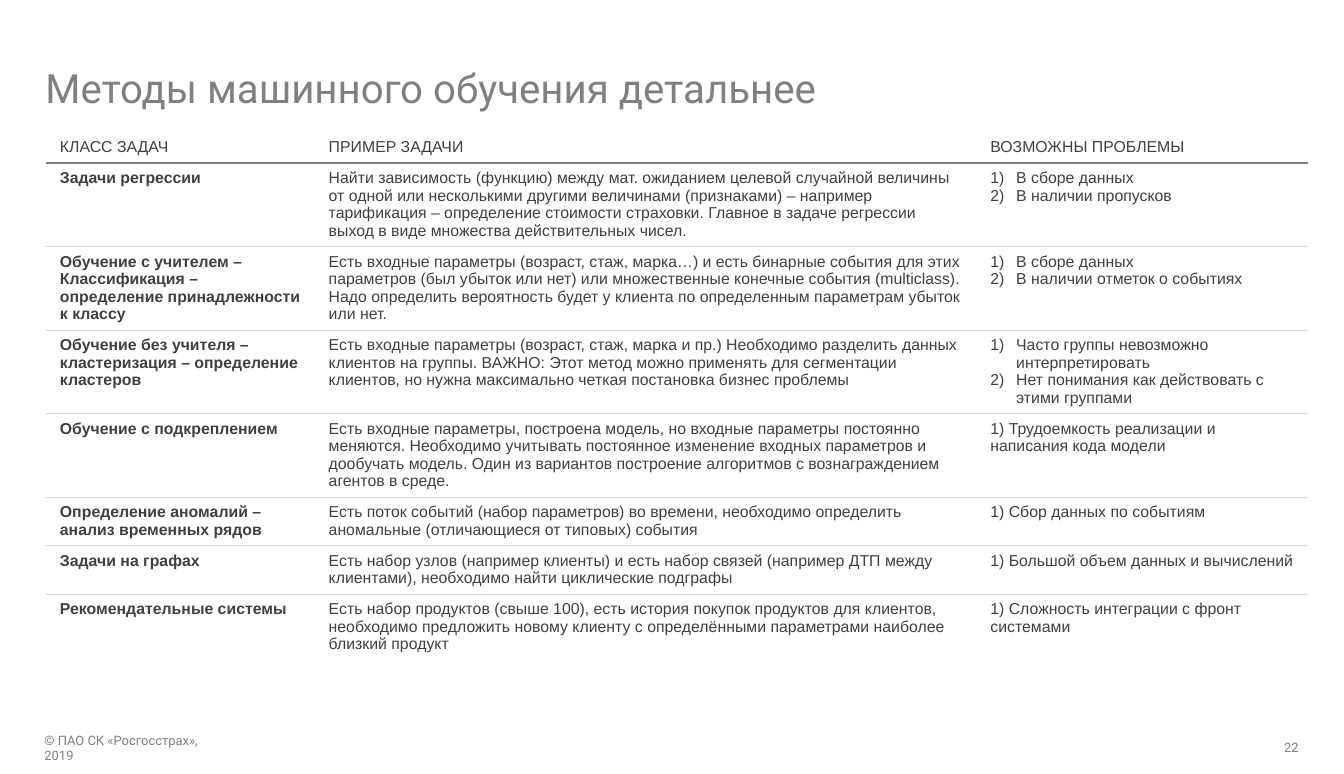
from lxml.etree import SubElement
from pptx import Presentation
from pptx.dml.color import RGBColor
from pptx.enum.text import MSO_ANCHOR, MSO_AUTO_SIZE, PP_ALIGN
from pptx.oxml.ns import qn
from pptx.util import Inches, Pt

COLOURS = {
    "title": "808080", "footer": "7F7F7F", "text": "404040",
    "header line": "7F7F7F", "row line": "D9D9D9", "paper": "FFFFFF",
}
GRID_COLUMNS, GRID_ROWS = 130, 75

HEADINGS = ["КЛАСС ЗАДАЧ", "ПРИМЕР ЗАДАЧИ", "ВОЗМОЖНЫ ПРОБЛЕМЫ"]
# Each method: text lines in its row, class, example, problems (a list is numbered)
METHODS = [
    (4, "Задачи регрессии",
     "Найти зависимость (функцию) между мат. ожиданием целевой случайной величины от одной или "
     "несколькими другими величинами (признаками) – например тарификация – определение стоимости "
     "страховки. Главное в задаче регрессии выход в виде множества действительных чисел.",
     ["В сборе данных", "В наличии пропусков"]),
    (4, "Обучение с учителем – Классификация – определение принадлежности к классу",
     "Есть входные параметры (возраст, стаж, марка…) и есть бинарные события для этих параметров "
     "(был убыток или нет) или множественные конечные события (multiclass). Надо определить "
     "вероятность будет у клиента по определенным параметрам убыток или нет.",
     ["В сборе данных", "В наличии отметок о событиях"]),
    (4, "Обучение без учителя – кластеризация – определение кластеров",
     "Есть входные параметры (возраст, стаж, марка и пр.) Необходимо разделить данных клиентов на "
     "группы. ВАЖНО: Этот метод можно применять для сегментации клиентов, но нужна максимально "
     "четкая постановка бизнес проблемы",
     ["Часто группы невозможно интерпретировать",
      "Нет понимания как действовать с этими группами"]),
    (4, "Обучение с подкреплением",
     "Есть входные параметры, построена модель, но входные параметры постоянно меняются. "
     "Необходимо учитывать постоянное изменение входных параметров и дообучать модель. Один из "
     "вариантов построение алгоритмов с вознаграждением агентов в среде.",
     "1) Трудоемкость реализации и написания кода модели"),
    (2, "Определение аномалий – анализ временных рядов",
     "Есть поток событий (набор параметров) во времени, необходимо определить аномальные "
     "(отличающиеся от типовых) события",
     "1) Сбор данных по событиям"),
    (2, "Задачи на графах",
     "Есть набор узлов (например клиенты) и есть набор связей (например ДТП между клиентами), "
     "необходимо найти циклические подграфы",
     "1) Большой объем данных и вычислений"),
    (3, "Рекомендательные системы",
     "Есть набор продуктов (свыше 100), есть история покупок продуктов для клиентов, необходимо "
     "предложить новому клиенту с определёнными параметрами наиболее близкий продукт",
     "1) Сложность интеграции с фронт системами"),
]


class MethodsPage:
    def __init__(self, deck):
        self.column = deck.slide_width / GRID_COLUMNS
        self.row = deck.slide_height / GRID_ROWS
        self.page = deck.slides.add_slide(deck.slide_layouts[5])

    def across(self, columns):
        return round(columns * self.column)

    def down(self, rows):
        return round(rows * self.row)

    def area(self, left, top, width, height):
        return self.across(left), self.down(top), self.across(width), self.down(height)

    def style(self, para, size, colour, font, bold=False):
        for span in para.runs:
            span.font.size, span.font.name, span.font.bold = Pt(size), font, bold
            span.font.color.rgb = RGBColor.from_string(COLOURS[colour])

    def title(self, text, *place):
        box = self.page.shapes.title
        box.left, box.top, box.width, box.height = self.area(*place)
        frame = box.text_frame
        frame.text = text
        frame.auto_size = MSO_AUTO_SIZE.NONE
        frame.vertical_anchor = MSO_ANCHOR.MIDDLE
        para = frame.paragraphs[0]
        para.alignment, para.line_spacing = PP_ALIGN.LEFT, 0.9
        self.style(para, 28, "title", "Roboto")

    def footer(self, text, align, *place):
        frame = self.page.shapes.add_textbox(*self.area(*place)).text_frame
        frame.word_wrap = True
        frame.margin_left = 0
        frame.vertical_anchor = MSO_ANCHOR.MIDDLE
        frame.text = text
        frame.paragraphs[0].alignment = align
        self.style(frame.paragraphs[0], 9, "footer", "Roboto")

    def borders(self, cell, top, bottom):
        properties = cell._tc.get_or_add_tcPr()
        sides = {"a:lnL": "paper", "a:lnR": "paper", "a:lnT": top, "a:lnB": bottom}
        for side, colour in sides.items():
            line = SubElement(properties, qn(side), w=str(Pt(1)))
            fill = SubElement(line, qn("a:solidFill"))
            SubElement(fill, qn("a:srgbClr"), val=COLOURS[colour])

    def number(self, para):
        properties = para._p.get_or_add_pPr()
        properties.set("marL", str(Inches(0.25)))
        properties.set("indent", str(-Inches(0.25)))
        SubElement(properties, qn("a:buFont"), typeface="Arial")
        SubElement(properties, qn("a:buAutoNum"), type="arabicParenR")

    def cell(self, cell, content, bold, top, bottom):
        self.borders(cell, top, bottom)
        cell.fill.solid()
        cell.fill.fore_color.rgb = RGBColor.from_string(COLOURS["paper"])
        cell.margin_left = cell.margin_right = Inches(0.13)
        cell.margin_top = cell.margin_bottom = Inches(0.06)
        numbered = isinstance(content, list)
        cell.text_frame.text = "\n".join(content) if numbered else content
        for para in cell.text_frame.paragraphs:
            if numbered:
                self.number(para)
            self.style(para, 11, "text", "Arial", bold)

    def table(self, headings, methods, left, top, widths):
        records = [(1, *headings), *methods]
        heights = [1.3 + 1.7 * lines for lines, *_ in records]
        place = self.area(left, top, sum(widths), sum(heights))
        table = self.page.shapes.add_table(len(records), len(widths), *place).table
        table.first_row = table.horz_banding = False
        for column, width in zip(table.columns, widths):
            column.width = self.across(width)
        lines = ["paper", "header line", *["row line"] * (len(methods) - 1), "paper"]
        for index, (_, *contents) in enumerate(records):
            table.rows[index].height = self.down(heights[index])
            for position, content in enumerate(contents):
                bold = index > 0 and position == 0
                self.cell(table.cell(index, position), content, bold,
                          lines[index], lines[index + 1])


def main():
    deck = Presentation()
    deck.slide_width, deck.slide_height = Inches(12.99), Inches(7.48)
    page = MethodsPage(deck)
    page.title("Методы машинного обучения детальнее", 3.4, 5.6, 107.5, 6.4)
    page.table(HEADINGS, METHODS, 4.5, 12.8, [26, 64, 32])
    page.footer("© ПАО СК «Росгосстрах», 2019", PP_ALIGN.LEFT, 4.3, 71.2, 18.9, 2.5)
    page.footer("22", PP_ALIGN.RIGHT, 122.5, 71.2, 4.1, 2.5)
    deck.save("out.pptx")


if __name__ == "__main__":
    main()
